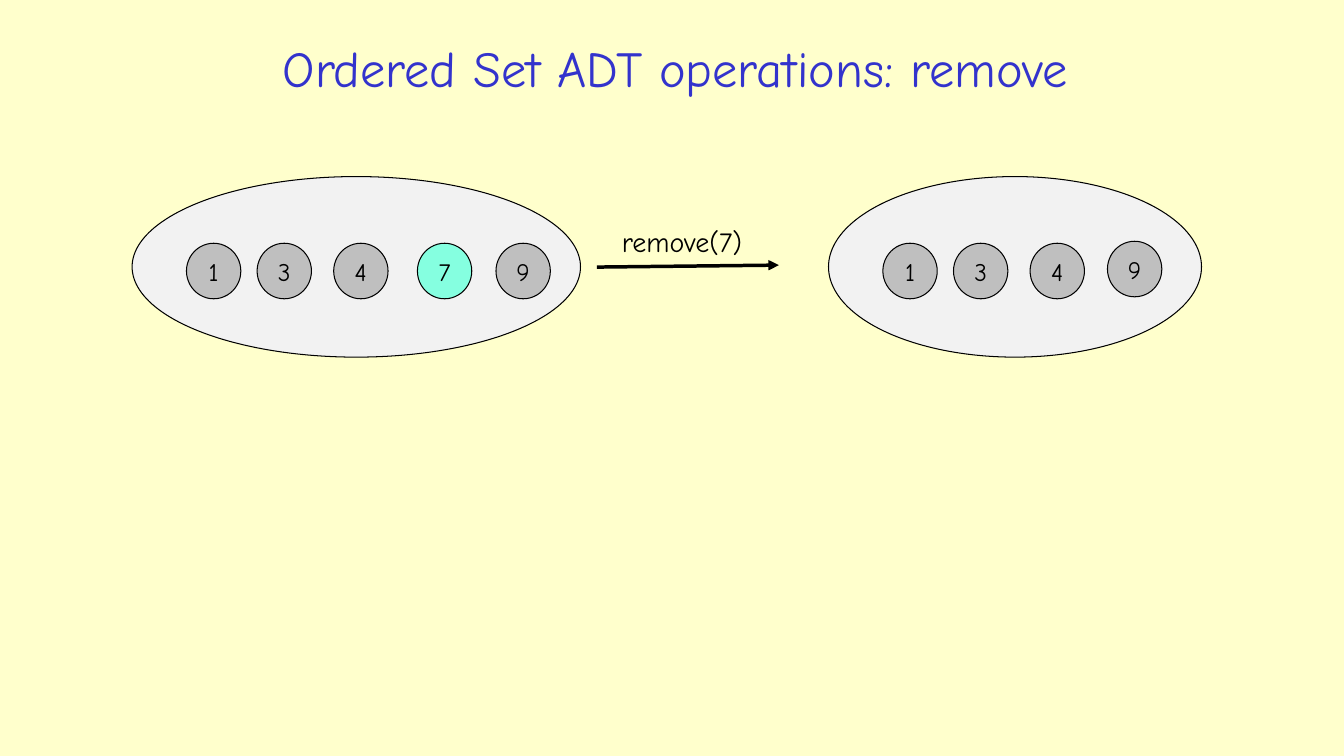
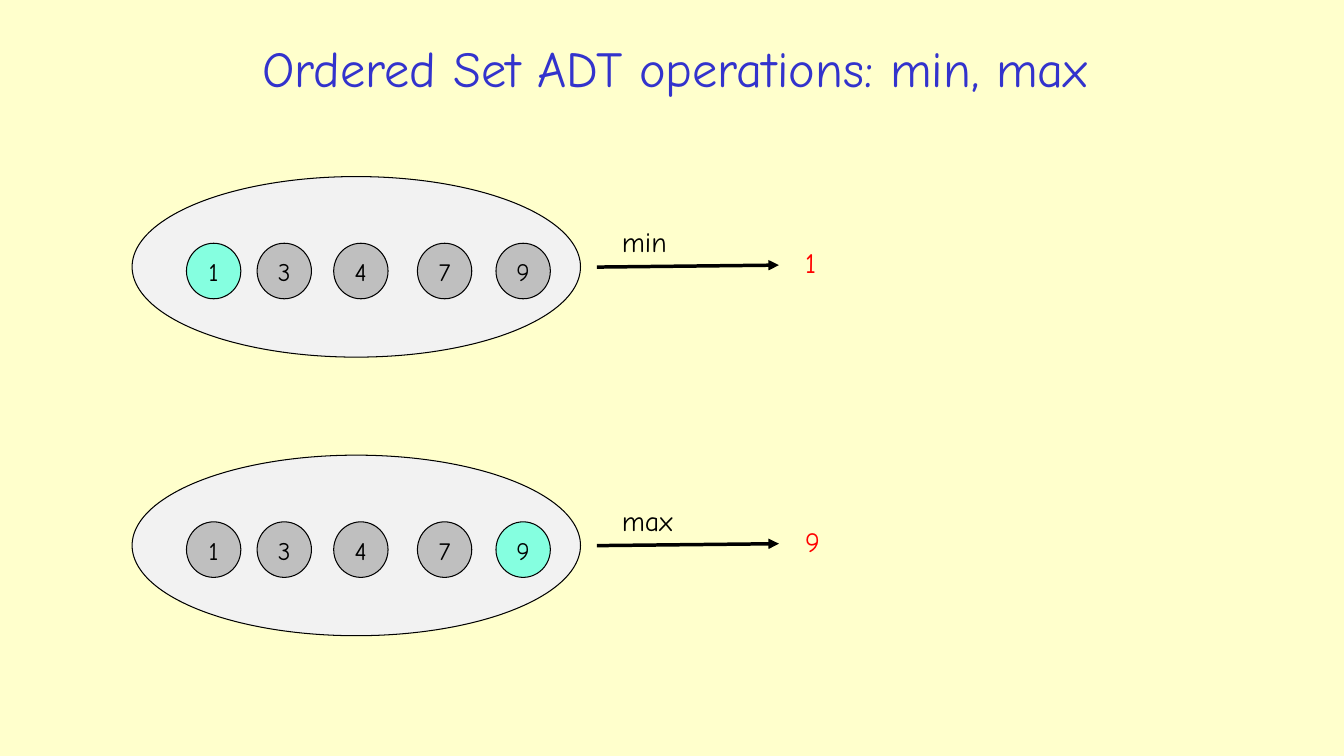
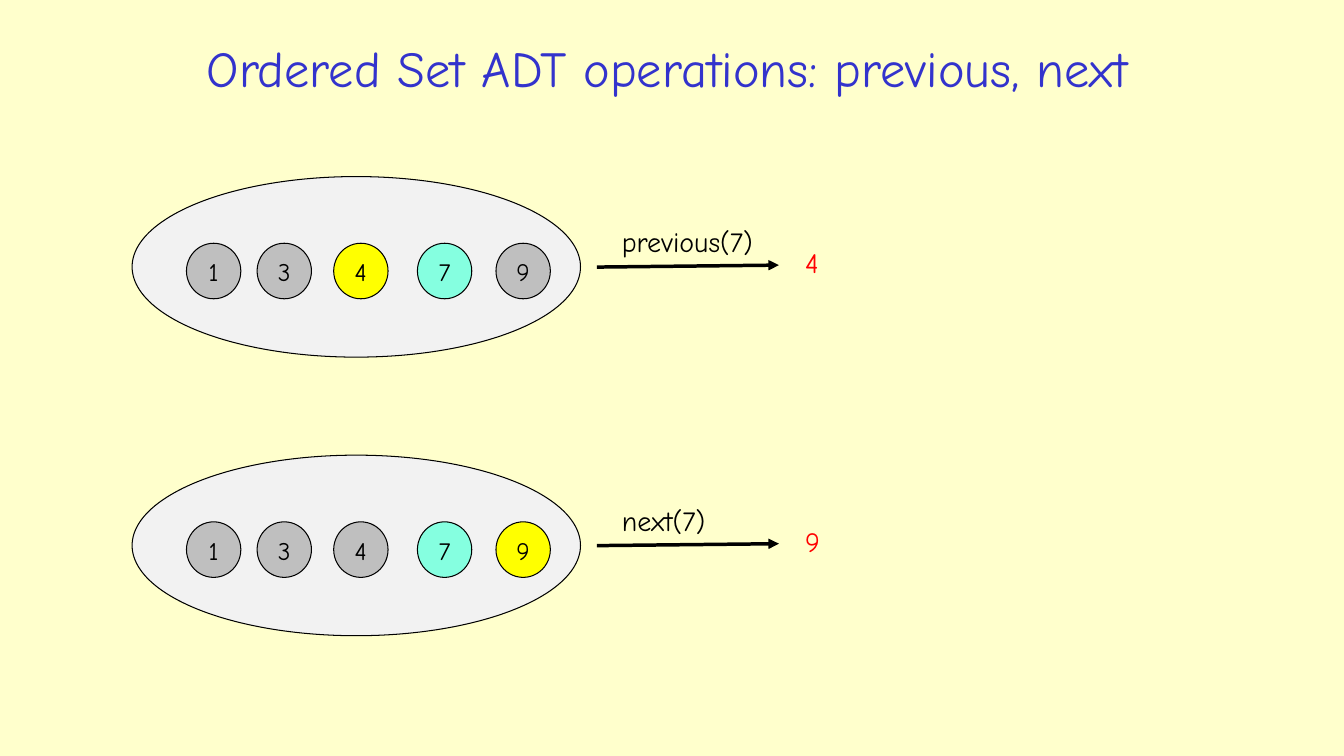
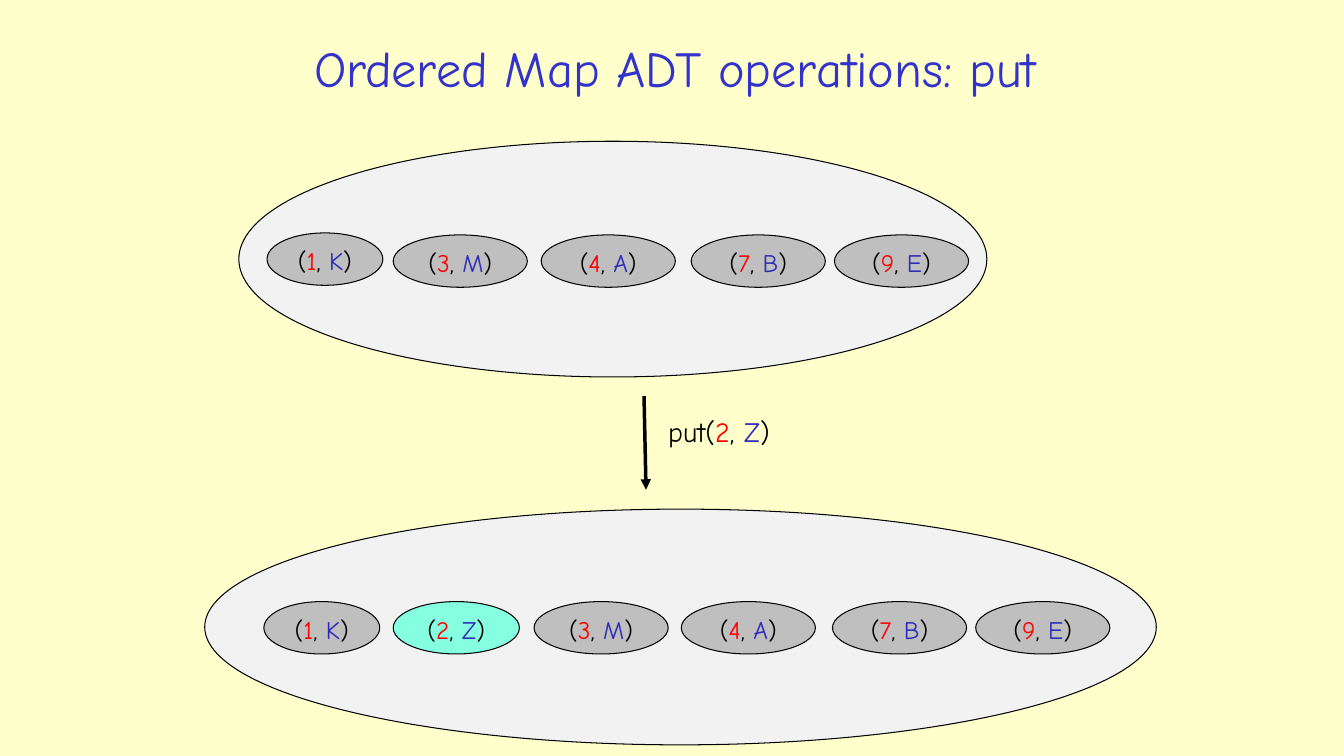
from lxml.etree import SubElement
from pptx import Presentation
from pptx.dml.color import RGBColor
from pptx.enum.shapes import MSO_CONNECTOR, MSO_SHAPE
from pptx.enum.text import MSO_ANCHOR, MSO_AUTO_SIZE, PP_ALIGN
from pptx.oxml.ns import qn
from pptx.util import Cm, Pt

CREAM = RGBColor(0xFF, 0xFF, 0xCC)
TITLE_BLUE = RGBColor(0x33, 0x33, 0xCC)
VALUE_BLUE = RGBColor(0x2D, 0x2D, 0xB9)
RED = RGBColor(0xFF, 0x00, 0x00)
BLACK = RGBColor(0x00, 0x00, 0x00)
PALE_GREY = RGBColor(0xF2, 0xF2, 0xF2)
GREY = RGBColor(0xBF, 0xBF, 0xBF)
AQUA = RGBColor(0x85, 0xFF, 0xE0)
YELLOW = RGBColor(0xFF, 0xFF, 0x00)

FONT = "Comic Neue"
TITLE_ONLY = 5
SET_LEFT, SET_TOP, SET_PITCH = 3.33, 4.45, 7.02
SET_WIDTH, SET_HEIGHT = 11.3, 4.55
MEMBER_OFFSETS = {"1": 1.37, "3": 3.15, "4": 5.08, "7": 7.19, "9": 9.17}
MAP_HEIGHT = 5.94


def pair_runs(key, value, operation=""):
    return [(operation + "(", BLACK), (key, RED), (", ", BLACK),
            (value, VALUE_BLUE), (")", BLACK)]


class Deck:
    def __init__(self):
        self.prs = Presentation()
        self.prs.slide_width = Cm(33.87)
        self.prs.slide_height = Cm(19.05)
        background = self.prs.slide_master.background.fill
        background.solid()
        background.fore_color.rgb = CREAM
        self.slide = None

    def add_runs(self, frame, runs, size, align):
        paragraph = frame.paragraphs[0]
        paragraph.alignment = align
        for text, color in runs:
            run = paragraph.add_run()
            run.text = text
            run.font.name = FONT
            run.font.size = Pt(size)
            run.font.color.rgb = color

    def start(self, heading, left=4.9, width=24.23):
        self.slide = self.prs.slides.add_slide(self.prs.slide_layouts[TITLE_ONLY])
        title = self.slide.shapes.title
        title.left, title.top = Cm(left), Cm(0.66)
        title.width, title.height = Cm(width), Cm(2.06)
        frame = title.text_frame
        frame.auto_size = MSO_AUTO_SIZE.NONE
        frame.vertical_anchor = MSO_ANCHOR.MIDDLE
        self.add_runs(frame, [(heading, TITLE_BLUE)], 36, PP_ALIGN.CENTER)

    def ellipse(self, left, top, width, height, color, runs=()):
        oval = self.slide.shapes.add_shape(
            MSO_SHAPE.OVAL, Cm(left), Cm(top), Cm(width), Cm(height))
        oval.shadow.inherit = False
        oval.fill.solid()
        oval.fill.fore_color.rgb = color
        oval.line.color.rgb = BLACK
        oval.line.width = Pt(0.75)
        oval.text_frame.vertical_anchor = MSO_ANCHOR.TOP
        self.add_runs(oval.text_frame, runs, 18, PP_ALIGN.CENTER)

    def arrow(self, x1, y1, x2, y2):
        connector = self.slide.shapes.add_connector(
            MSO_CONNECTOR.STRAIGHT, Cm(x1), Cm(y1), Cm(x2), Cm(y2))
        connector.line.color.rgb = BLACK
        connector.line.width = Pt(2.5)
        properties = connector.element.spPr
        SubElement(properties.find(qn("a:ln")), qn("a:tailEnd"), type="triangle")
        SubElement(properties, qn("a:effectLst"))

    def label(self, left, top, runs, width=4.22):
        box = self.slide.shapes.add_textbox(Cm(left), Cm(top), Cm(width), Cm(1.12))
        box.text_frame.word_wrap = True
        self.add_runs(box.text_frame, runs, 20, PP_ALIGN.LEFT)

    def member(self, left, top, key, color=GREY):
        self.ellipse(left, top, 1.37, 1.4, color, [(key, BLACK)])

    def operation(self, row, call, highlights, result=None):
        top = SET_TOP + row * SET_PITCH
        self.ellipse(SET_LEFT, top, SET_WIDTH, SET_HEIGHT, PALE_GREY)
        for key, offset in MEMBER_OFFSETS.items():
            self.member(SET_LEFT + offset, top + 1.68, key, highlights.get(key, GREY))
        self.arrow(15.04, top + 2.28, 19.63, top + 2.23)
        self.label(15.42, top + 1.09, [(call, BLACK)])
        if result:
            self.label(20.04, top + 1.62, [(result, RED)], 5.13)

    def entries(self, rows):
        for left, top, width, key, value, color in rows:
            self.ellipse(left, top, width, 1.32, color, pair_runs(key, value))


def main():
    deck = Deck()

    deck.start("Ordered Set ADT operations: remove")
    deck.operation(0, "remove(7)", {"7": AQUA})
    remaining_left = 20.88
    deck.ellipse(remaining_left, SET_TOP, 9.4, SET_HEIGHT, PALE_GREY)
    for key in ("1", "3", "4"):
        deck.member(remaining_left + MEMBER_OFFSETS[key], SET_TOP + 1.68, key)
    deck.member(27.91, SET_TOP + 1.63, "9")

    deck.start("Ordered Set ADT operations: min, max")
    deck.operation(0, "min", {"1": AQUA}, "1")
    deck.operation(1, "max", {"9": AQUA}, "9")

    deck.start("Ordered Set ADT operations: previous, next", 0.64, 32.36)
    deck.operation(0, "previous(7)", {"4": YELLOW, "7": AQUA}, "4")
    deck.operation(1, "next(7)", {"7": AQUA, "9": YELLOW}, "9")

    deck.start("Ordered Map ADT operations: put")
    deck.ellipse(6.02, 3.56, 18.85, MAP_HEIGHT, PALE_GREY)
    deck.entries([
        (6.73, 5.87, 2.92, "1", "K", GREY),
        (9.91, 5.92, 3.38, "3", "M", GREY),
        (13.64, 5.92, 3.38, "4", "A", GREY),
        (17.42, 5.92, 3.38, "7", "B", GREY),
        (21.03, 5.92, 3.38, "9", "E", GREY),
    ])
    deck.arrow(16.23, 9.98, 16.28, 12.34)
    deck.label(16.59, 10.31, pair_runs("2", "Z", "put"))
    deck.ellipse(5.16, 12.83, 23.98, MAP_HEIGHT, PALE_GREY)
    deck.entries([
        (6.65, 15.16, 2.92, "1", "K", GREY),
        (9.91, 15.16, 3.18, "2", "Z", AQUA),
        (13.46, 15.16, 3.38, "3", "M", GREY),
        (17.17, 15.16, 3.38, "4", "A", GREY),
        (20.98, 15.16, 3.38, "7", "B", GREY),
        (24.59, 15.16, 3.38, "9", "E", GREY),
    ])

    deck.prs.save("out.pptx")


if __name__ == "__main__":
    main()
